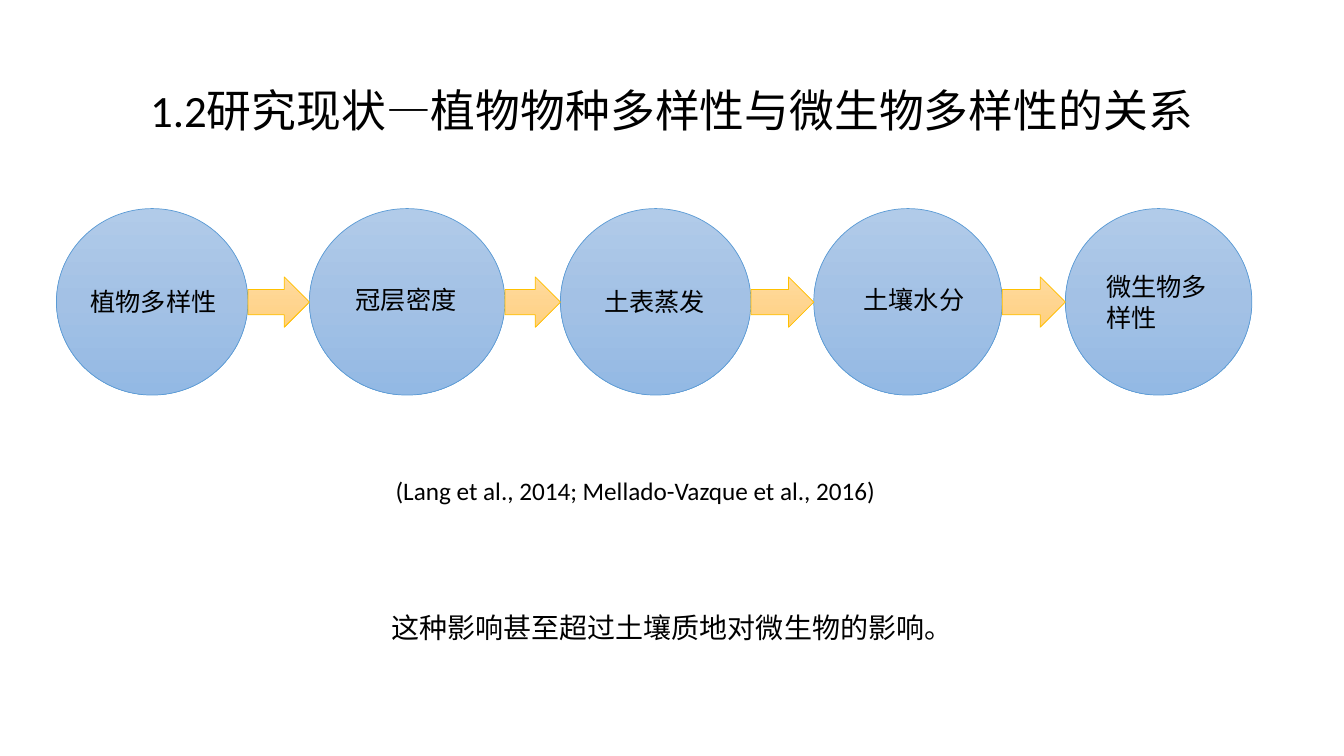
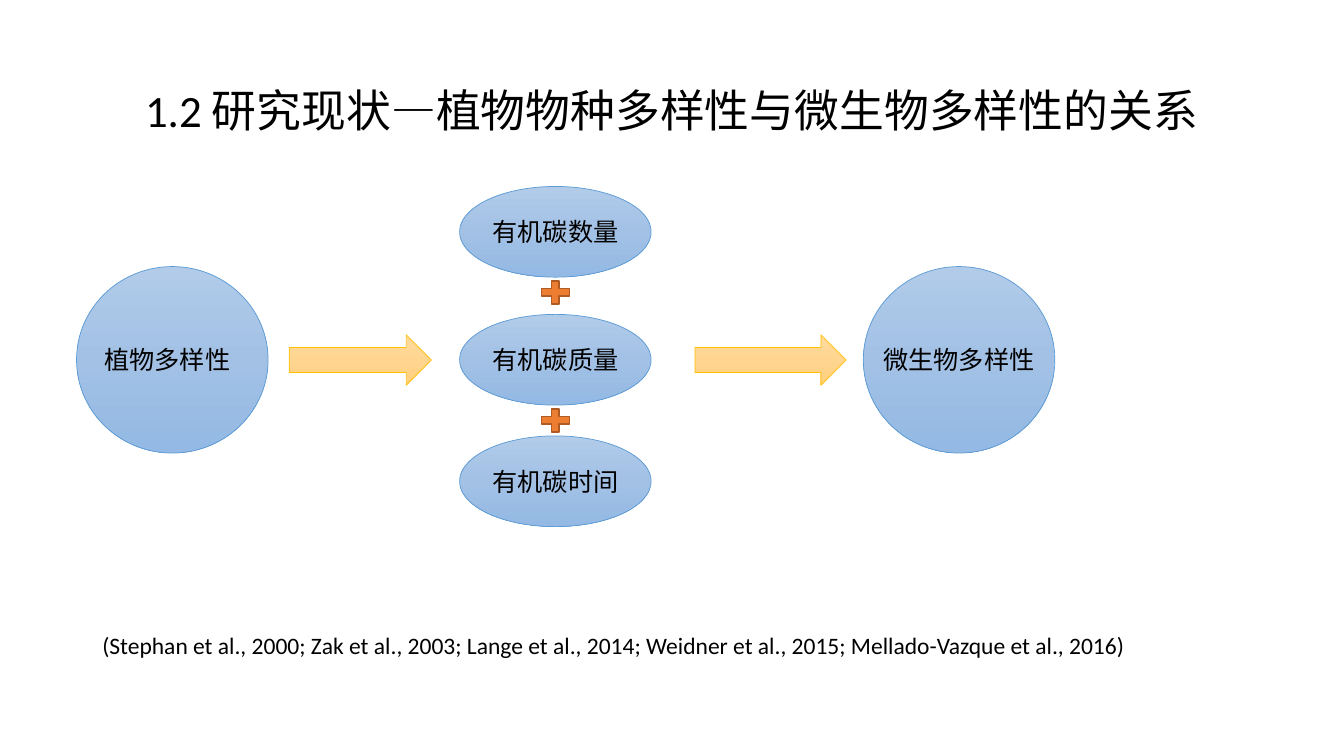
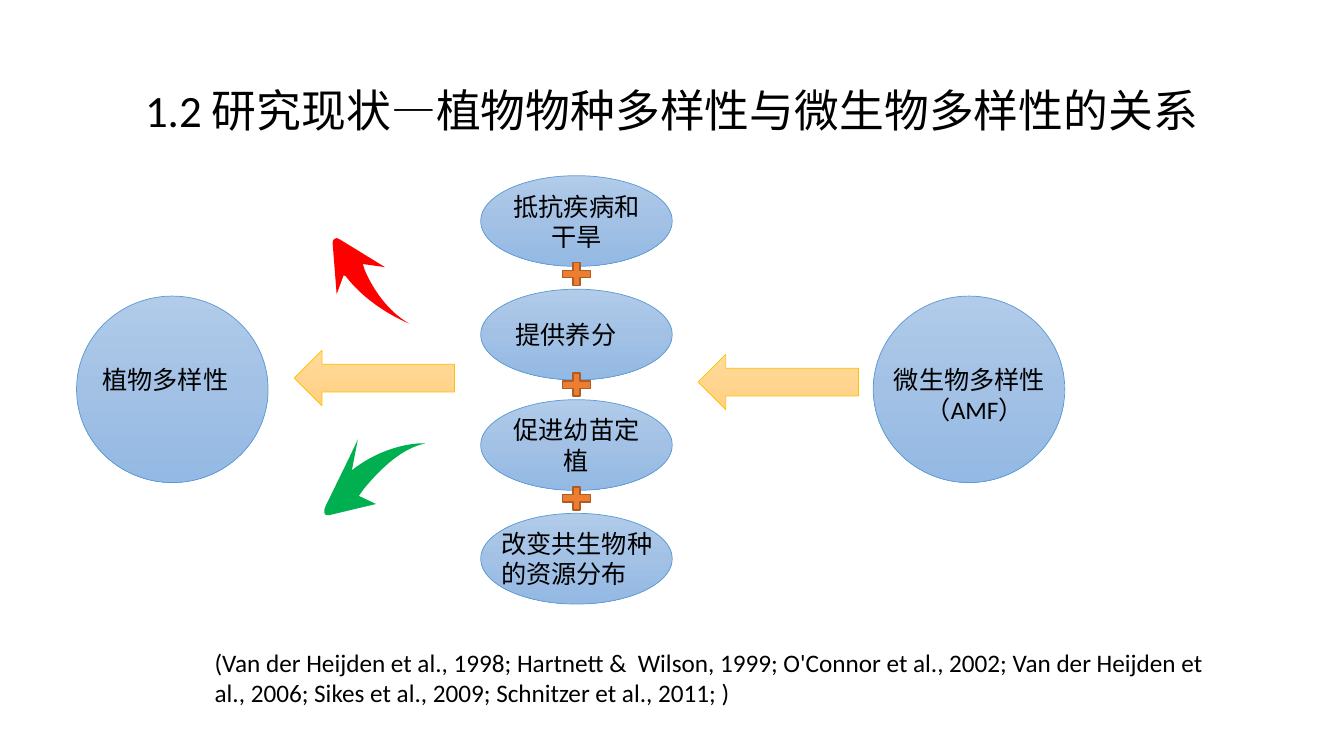
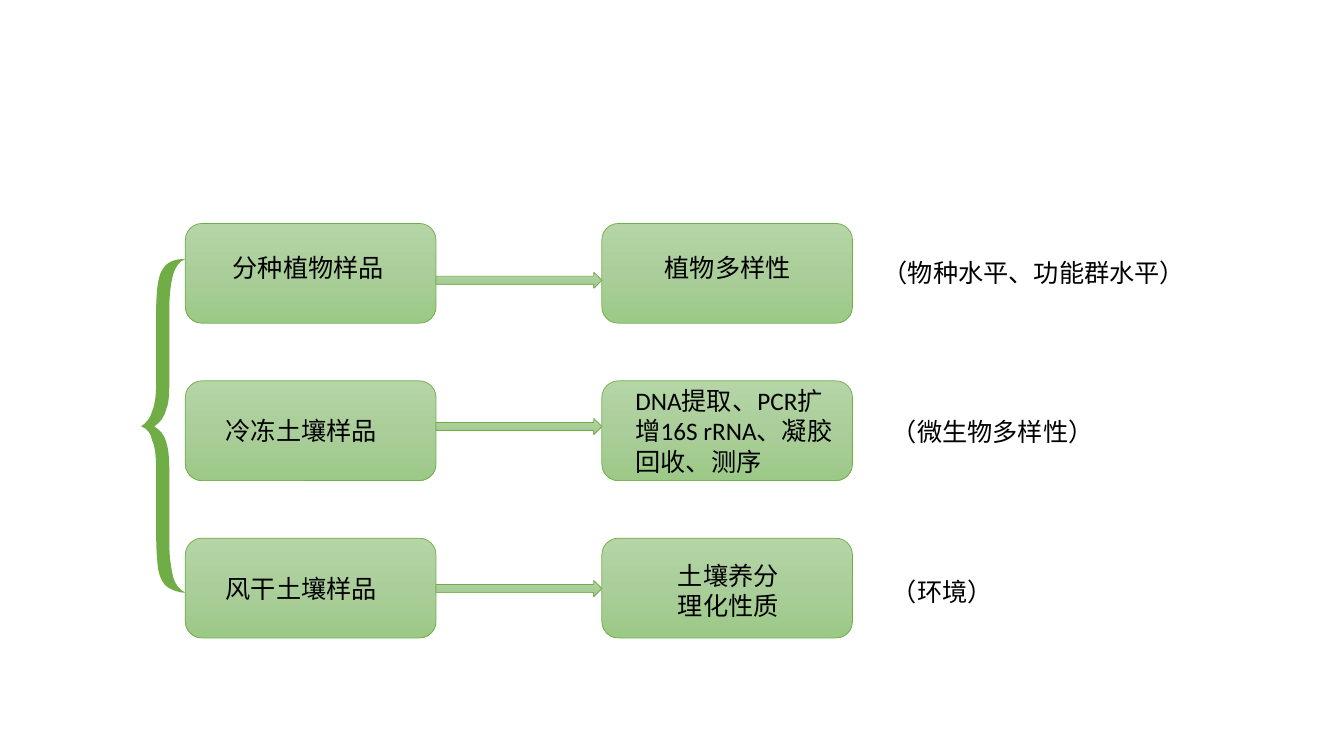
from copy import deepcopy
from dataclasses import dataclass

from lxml import etree
from pptx import Presentation
from pptx.dml.color import RGBColor
from pptx.enum import shapes, text
from pptx.oxml import ns
from pptx.util import Pt

SHAPE = shapes.MSO_SHAPE
LEFT, CENTER = text.PP_ALIGN.LEFT, text.PP_ALIGN.CENTER


@dataclass(frozen=True)
class Paint:
    fill: tuple[str, ...]
    line: str | None = None
    width: float = 0.5


@dataclass(frozen=True)
class Theme:
    font: str = "Calibri"
    ink: str = "000000"
    title: float = 32
    body: float = 20
    label: float = 18
    cite: float = 16.8
    blue: Paint = Paint(("B1CBE9", "A3C1E5", "93B9E4"), "5B9BD5")
    gold: Paint = Paint(("FFDB9E", "FFD590", "FFD07C"), "FFC000")
    green: Paint = Paint(("B5D5A7", "AACE9A", "9CC987"), "70AD47")
    plus: Paint = Paint(("ED7D31",), "AF5C24", 1)
    red_arrow: Paint = Paint(("FF0000",))
    green_arrow: Paint = Paint(("00B050",))
    brace: Paint = Paint(("70AD47",))


THEME = Theme()


@dataclass(frozen=True)
class Box:
    x: float
    y: float
    w: float
    h: float

    def emu(self) -> tuple:
        return Pt(self.x), Pt(self.y), Pt(self.w), Pt(self.h)


@dataclass(frozen=True)
class Label:
    text: str
    box: Box
    align: int = LEFT


@dataclass(frozen=True)
class Step:
    x: float
    w: float
    label: Label


@dataclass(frozen=True)
class Row:
    sample: Label
    result: Label
    note: Label
    arrow_y: float


TITLE_BOX = Box(66, 28.4, 828, 104.4)
CIRCLE_H = 133.2
CIRCLE_W = 136.8
OVAL_H = 64.8
PLUS_W, PLUS_H = 27.4, 22.3

STEPS = (
    Step(40.3, 136.8, Label("植物多样性", Box(57.6, 201.2, 111.6, 28.8))),
    Step(221, 139.7, Label("冠层密度", Box(247, 199.4, 87.8, 28.8))),
    Step(400.3, 136.1, Label("土表蒸发", Box(424.4, 200.7, 87.8, 28.8))),
    Step(581.3, 134.6, Label("土壤水分", Box(609.8, 199.4, 91.4, 28.8))),
    Step(761, 133.2, Label("微生物多样性", Box(783.2, 190.5, 98.6, 50.4))),
)

ROWS = (
    Row(Label("分种植物样品", Box(159.1, 176.7, 123.8, 28.8)),
        Label("植物多样性", Box(447.1, 176.7, 145.4, 28.8), CENTER),
        Label("（物种水平、功能群水平）", Box(623.5, 180, 249.1, 28.8)), 194.4),
    Row(Label("冷冻土壤样品", Box(154.1, 293, 122.4, 28.8)),
        Label("DNA提取、PCR扩增16S rRNA、凝胶回收、测序", Box(446.8, 271.8, 157, 72)),
        Label("（微生物多样性）", Box(630, 293.8, 249.1, 28.8)), 298.9),
    Row(Label("风干土壤样品", Box(154.1, 406.1, 122.4, 28.8), CENTER),
        Label("土壤养分\n理化性质", Box(452.2, 396.7, 136.1, 50.4), CENTER),
        Label("（环境）", Box(630, 407.9, 249.1, 28.8)), 414.7),
)

RED_ARROW = (
    (241.9, 170.6), (241.2, 169.9, 239.8, 169.9, 239, 170.6),
    (238.3, 170.6, 237.6, 172, 237.6, 173.5), (239.8, 201), (240.5, 210.2),
    (245.5, 196.6), (247, 197.3), (263.5, 218.9, 288.7, 229.7, 292.3, 231.1),
    (277.2, 222.5, 266.4, 206.6, 260.6, 193), (259.2, 188.6), (275, 190.8),
    (243.4, 171.4),
)
GREEN_ARROW = (
    (233.3, 367.9), (232.6, 367.9, 231.8, 367.2, 231.8, 366.5),
    (231.1, 365, 231.8, 363.6, 232.6, 361.4), (234.7, 357.1), (249.8, 326.2),
    (255.6, 313.9), (251.3, 336.2), (252.7, 334.8),
    (276.5, 316.8, 301, 316.1, 303.8, 316.8),
    (288, 319.7, 272.2, 334.1, 259.9, 349.2), (256.3, 354.2), (268.6, 360),
    (235.4, 367.9),
)
BRACE = (
    (121, 219.6), (121, 209.5, 122.4, 200.9, 123.8, 195.8),
    (125.3, 190.8, 128.2, 186.5, 132.5, 185),
    (124.6, 185, 118.8, 187.2, 115.9, 193),
    (113, 196.6, 111.6, 208.1, 111.6, 223.2), (111.6, 272.2),
    (111.6, 281.5, 110.9, 288.7, 108.7, 293.8),
    (107.3, 298.8, 105.1, 301.7, 100.8, 304.6),
    (105.1, 306, 108, 309.6, 108.7, 314.6),
    (110.9, 319, 111.6, 326.9, 111.6, 337), (111.6, 381.6),
    (111.6, 392.4, 112.3, 401, 113, 406.8),
    (114.5, 413.3, 116.6, 417.6, 120.2, 419.8),
    (123.1, 421.2, 126.7, 423.4, 132.5, 423.4),
    (128.2, 421.2, 125.3, 417.6, 123.8, 412.6),
    (122.4, 406.1, 121, 398.9, 121, 388.8), (121, 342.7),
    (121, 330.5, 121, 322.6, 118.8, 316.1),
    (117.4, 310.3, 114.5, 307.4, 110.2, 304.6),
    (114.5, 301.7, 117.4, 298.1, 118.8, 292.3),
    (121, 287.3, 121, 279.4, 121, 267.8),
)


def apply_paint(sp, paint: Paint) -> None:
    sp.shadow.inherit = False
    if len(paint.fill) == 1:
        sp.fill.solid()
        sp.fill.fore_color.rgb = RGBColor.from_string(paint.fill[0])
    else:
        sp.fill.gradient()
        sp.fill.gradient_angle = 270
        stops = sp._element.spPr.find(".//" + ns.qn("a:gsLst"))
        stops.insert(1, deepcopy(stops[0]))
        for i, (stop, color) in enumerate(zip(sp.fill.gradient_stops, paint.fill)):
            stop.position = i / 2
            stop.color.rgb = RGBColor.from_string(color)
    if paint.line:
        sp.line.color.rgb = RGBColor.from_string(paint.line)
        sp.line.width = Pt(paint.width)
    else:
        sp.line.fill.background()


def add_shape(s, kind, box: Box, paint: Paint) -> None:
    apply_paint(s.shapes.add_shape(kind, *box.emu()), paint)


def add_label(s, label: Label, size: float = THEME.label, spacing: float = 1):
    tf = s.shapes.add_textbox(*label.box.emu()).text_frame
    tf.word_wrap = True
    tf.text = label.text
    for p in tf.paragraphs:
        p.alignment = label.align
        p.line_spacing = spacing
        p.font.name = THEME.font
        p.font.size = Pt(size)
        p.font.color.rgb = RGBColor.from_string(THEME.ink)
    return tf


def add_title(s, words: str) -> None:
    tf = add_label(s, Label(words, TITLE_BOX, CENTER), THEME.title, 0.9)
    tf.vertical_anchor = text.MSO_ANCHOR.MIDDLE


def add_outline(s, outline: tuple, paint: Paint) -> None:
    points = [(Pt(part[i]), Pt(part[i + 1]))
              for part in outline for i in range(0, len(part), 2)]
    builder = s.shapes.build_freeform(*points[0])
    builder.add_line_segments(points[1:], close=True)
    sp = builder.convert_to_shape()
    lines = iter(sp._element.findall(".//" + ns.qn("a:lnTo")))
    for part in outline[1:]:
        line = next(lines)
        if len(part) == 6:
            curve = etree.Element(ns.qn("a:cubicBezTo"))
            line.addprevious(curve)
            for piece in (line, next(lines), next(lines)):
                curve.append(piece[0])
                piece.getparent().remove(piece)
    apply_paint(sp, paint)


def add_circle(s, x: float, y: float, w: float = CIRCLE_W) -> None:
    add_shape(s, SHAPE.OVAL, Box(x, y, w, CIRCLE_H), THEME.blue)


def add_oval_column(s, x: float, tops: tuple, plus_tops: tuple) -> None:
    for y in tops:
        add_shape(s, SHAPE.OVAL, Box(x, y, CIRCLE_W, OVAL_H), THEME.blue)
    for y in plus_tops:
        plus = Box(x + (CIRCLE_W - PLUS_W) / 2, y, PLUS_W, PLUS_H)
        add_shape(s, SHAPE.MATH_PLUS, plus, THEME.plus)


def canopy_slide(s) -> None:
    add_title(s, "1.2研究现状—植物物种多样性与微生物多样性的关系")
    for step in STEPS:
        add_circle(s, step.x, 149, step.w)
        add_label(s, step.label)
    for step, following in zip(STEPS, STEPS[1:]):
        end = step.x + step.w
        add_shape(s, SHAPE.RIGHT_ARROW, Box(end, 197.8, following.x - end, 36), THEME.gold)
    add_label(s, Label("(Lang et al., 2014; Mellado-Vazque et al., 2016)",
                       Box(275.5, 336.2, 447.8, 28.8)))
    add_label(s, Label("这种影响甚至超过土壤质地对微生物的影响。",
                       Box(66, 435, 828, 58.3), CENTER), THEME.body, 0.9)


def carbon_slide(s) -> None:
    add_title(s, "1.2 研究现状—植物物种多样性与微生物多样性的关系")
    for x in (54.7, 616.7):
        add_circle(s, x, 190.4)
    tops = (133.2, 224.6, 311.4)
    add_oval_column(s, 328.3, tops, (197.7, 289.1))
    for words, y in zip(("有机碳数量", "有机碳质量", "有机碳时间"), tops):
        add_label(s, Label(words, Box(335.9, y + 18, 121.7, 28.8), CENTER))
    add_label(s, Label("植物多样性", Box(67.4, 242.6, 111.6, 28.8)))
    add_label(s, Label("微生物多样性", Box(623.9, 242.6, 129.6, 28.8)))
    for x, w in ((206.6, 101.5), (496.4, 108)):
        add_shape(s, SHAPE.RIGHT_ARROW, Box(x, 239.2, w, 36), THEME.gold)
    add_label(s, Label("(Stephan et al., 2000; Zak et al., 2003; Lange et al., 2014; "
                       "Weidner et al., 2015; Mellado-Vazque et al., 2016)",
                       Box(66, 449.5, 828, 36.7)), THEME.cite, 0.9)


def symbiosis_slide(s) -> None:
    add_title(s, "1.2 研究现状—植物物种多样性与微生物多样性的关系")
    for x in (54.7, 623.8):
        add_circle(s, x, 211.5)
    add_oval_column(s, 343.4, (125.5, 206.6, 285.5, 366.7), (184.5, 263.5, 344.9))
    for label in (
        Label("植物多样性", Box(66, 257, 111.6, 28.8)),
        Label("抵抗疾病和干旱", Box(350.9, 133.2, 121.7, 50.4), CENTER),
        Label("提供养分", Box(343.4, 224.6, 121.7, 28.8), CENTER),
        Label("促进幼苗定植", Box(350.9, 292.7, 121.7, 50.4), CENTER),
        Label("改变共生物种的资源分布", Box(350.9, 373.7, 129.6, 50.4)),
        Label("(Van der Heijden et al., 1998; Hartnett &  Wilson, 1999; "
              "O'Connor et al., 2002; Van der Heijden et al., 2006; "
              "Sikes et al., 2009; Schnitzer et al., 2011; )",
              Box(146.2, 458.6, 733.7, 50.4)),
    ):
        add_label(s, label)
    tf = add_label(s, Label("微生物多样性\n（AMF）", Box(631.4, 256.7, 129.6, 50.4)))
    tf.paragraphs[1].alignment = CENTER
    for x, y in ((210.2, 250.3), (498.7, 253.1)):
        add_shape(s, SHAPE.LEFT_ARROW, Box(x, y, 114.5, 39.6), THEME.gold)
    add_outline(s, RED_ARROW, THEME.red_arrow)
    add_outline(s, GREEN_ARROW, THEME.green_arrow)


def sample_slide(s) -> None:
    sample_x, result_x, box_w, box_h = 132.4, 429.9, 179.1, 71.3
    arrow_x = sample_x + box_w
    add_outline(s, BRACE, THEME.brace)
    for i, row in enumerate(ROWS):
        y = 159.6 + i * 112.4
        for x in (sample_x, result_x):
            add_shape(s, SHAPE.FLOWCHART_ALTERNATE_PROCESS, Box(x, y, box_w, box_h),
                      THEME.green)
        add_shape(s, SHAPE.RIGHT_ARROW, Box(arrow_x, row.arrow_y, result_x - arrow_x, 11.5),
                  THEME.green)
        for label in (row.sample, row.result, row.note):
            add_label(s, label)


def main() -> None:
    prs = Presentation()
    prs.slide_width, prs.slide_height = Pt(960), Pt(540)
    for draw in (canopy_slide, carbon_slide, symbiosis_slide, sample_slide):
        draw(prs.slides.add_slide(prs.slide_layouts[6]))
    prs.save("out.pptx")


if __name__ == "__main__":
    main()
